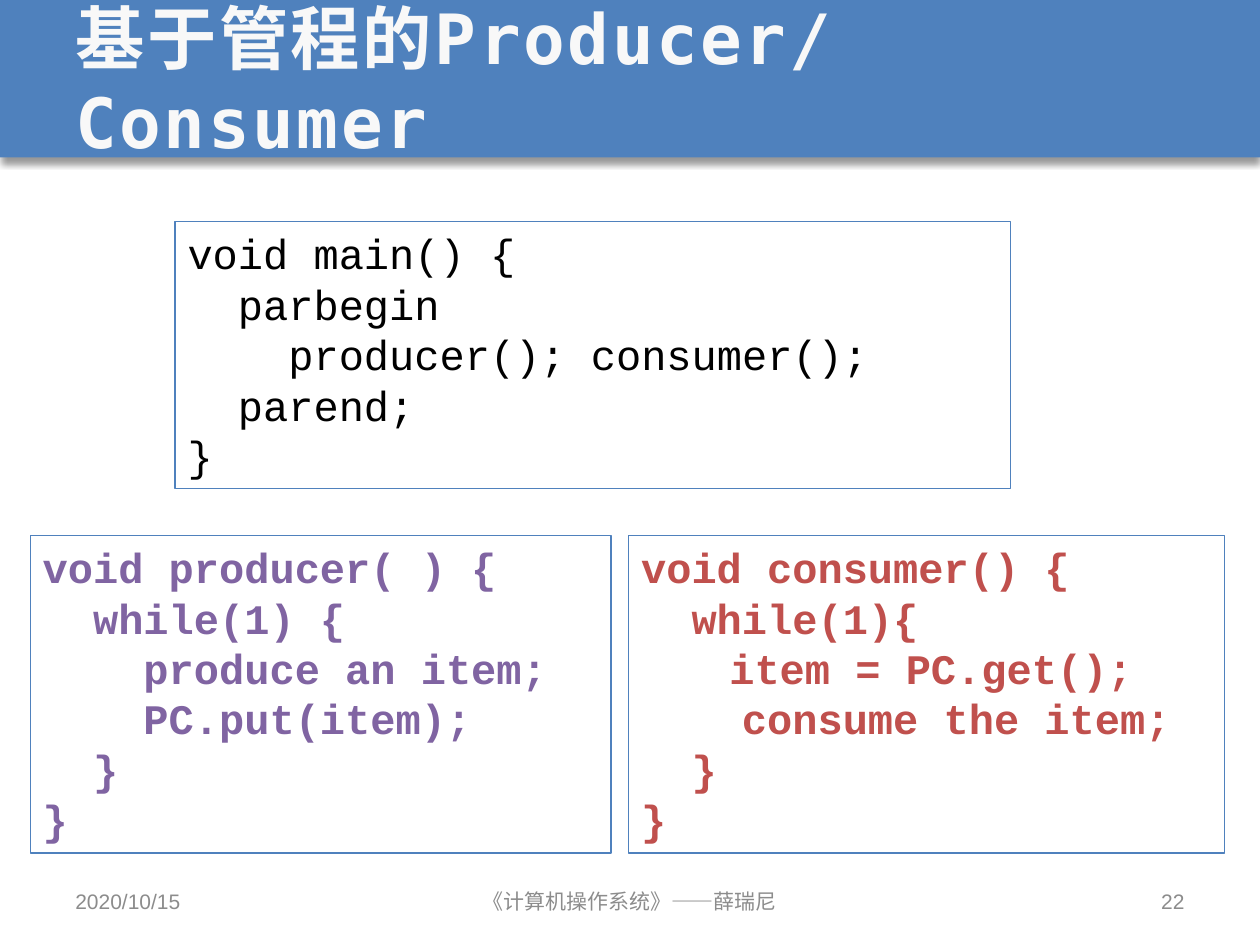
"""Build the slide on a monitor-based producer/consumer program."""
from lxml import etree
from pptx import Presentation
from pptx.dml.color import RGBColor
from pptx.enum.shapes import MSO_SHAPE
from pptx.enum.text import MSO_ANCHOR, PP_ALIGN
from pptx.oxml.ns import qn
from pptx.util import Inches, Pt

RECTANGLE = MSO_SHAPE.RECTANGLE
TOP, MIDDLE = MSO_ANCHOR.TOP, MSO_ANCHOR.MIDDLE
LEFT, CENTER, RIGHT = PP_ALIGN.LEFT, PP_ALIGN.CENTER, PP_ALIGN.RIGHT
BLUE, GRAY = "4F81BD", "8C8C8C"


def color(hex_text):
    """Turn a hex string into a colour."""
    return RGBColor.from_string(hex_text)


def write(shape, text, *, size, font, ink, bold=False, align=LEFT,
          anchor=MIDDLE, spacing=0, indents=None):
    """Fill a shape with one paragraph per line of text."""
    frame = shape.text_frame
    frame.word_wrap = True
    frame.vertical_anchor = anchor
    for index, line in enumerate(text.split("\n")):
        para = frame.paragraphs[0] if index == 0 else frame.add_paragraph()
        para.alignment = align
        if indents and index in indents:
            para.level = 1
            properties = para._p.get_or_add_pPr()
            properties.set("marL", str(Inches(indents[index])))
            properties.set("indent", "0")
        span = para.add_run()
        span.text = line
        span.font.size = Pt(size)
        span.font.name = font
        span.font.bold = bold
        span.font.color.rgb = color(ink)
        if spacing:
            span.font._element.set("spc", str(int(spacing * 100)))


deck = Presentation()
deck.slide_width, deck.slide_height = Inches(10), Inches(7.5)
page = deck.slides.add_slide(deck.slide_layouts[6])

banner = page.shapes.add_shape(RECTANGLE, 0, 0, Inches(10), Inches(1.25))
banner.fill.solid()
banner.fill.fore_color.rgb = color(BLUE)
banner.line.fill.background()
banner.shadow.inherit = False
effects = banner._element.spPr.find(qn("a:effectLst"))
shadow = etree.SubElement(effects, qn("a:outerShdw"), blurRad=str(Pt(4)),
                          dist=str(Pt(3)), dir="5400000", rotWithShape="0")
shade = etree.SubElement(shadow, qn("a:srgbClr"), val="000000")
etree.SubElement(shade, qn("a:alpha"), val="40000")

title = page.shapes.add_textbox(Inches(0.5), 0, Inches(9), Inches(1.25))
write(title, "基于管程的Producer/Consumer", size=39.6, font="DejaVu Sans Mono",
      ink="F8F8F8", bold=True, spacing=1.5)

footers = [
    (0.5, 2.33, "2020/10/15", "Arial", LEFT),
    (2.83, 4.33, "《计算机操作系统》——薛瑞尼", "DejaVu Sans Mono", CENTER),
    (7.17, 2.33, "22", "Arial", RIGHT),
]
for left, width, text, font, align in footers:
    footer = page.shapes.add_textbox(
        Inches(left), Inches(6.95), Inches(width), Inches(0.4))
    write(footer, text, size=12, font=font, ink=GRAY, align=align)

consumer_code = """void consumer() {
  while(1){
 item = PC.get();
    consume the item;
  }
}"""
main_code = """void main() {
  parbegin
    producer(); consumer();
  parend;
}"""
producer_code = """void producer( ) {
  while(1) {
    produce an item;
    PC.put(item);
  }
}"""
listings = [
    (4.99, 4.25, 4.73, 2.52, consumer_code, "C0504D", True, {2: 0.5}),
    (1.39, 1.76, 6.63, 2.12, main_code, "000000", False, None),
    (0.24, 4.25, 4.61, 2.52, producer_code, "8064A2", True, None),
]
for left, top, width, height, code, ink, bold, indents in listings:
    box = page.shapes.add_shape(
        RECTANGLE, Inches(left), Inches(top), Inches(width), Inches(height))
    box.shadow.inherit = False
    box.fill.background()
    box.line.color.rgb = color(BLUE)
    box.line.width = Pt(0.75)
    write(box, code, size=24, font="Courier New", ink=ink, bold=bold,
          anchor=TOP, indents=indents)

deck.save("out.pptx")
